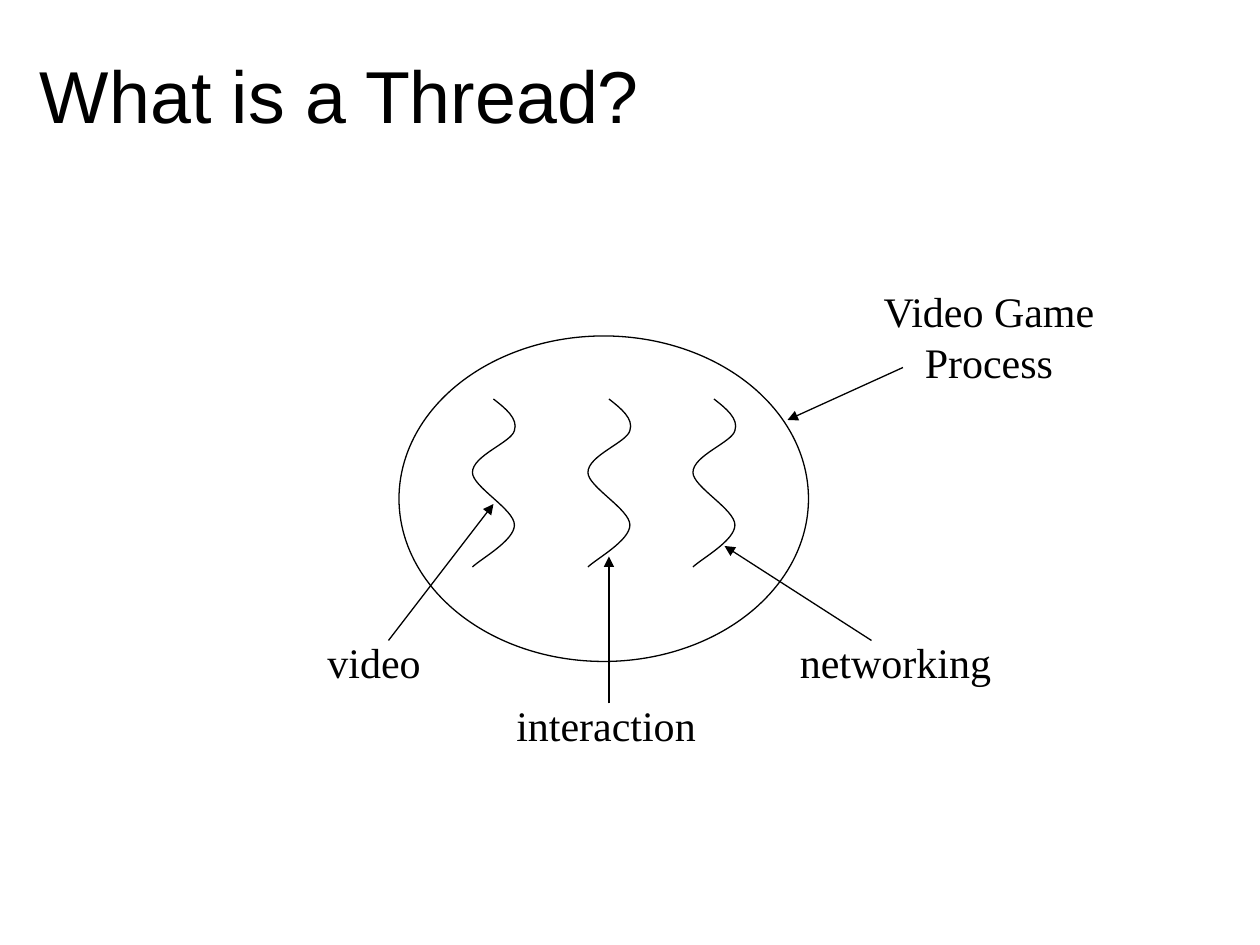
from pptx import Presentation
from pptx.dml.color import RGBColor
from pptx.enum.shapes import MSO_CONNECTOR as Connector, MSO_SHAPE as Preset
from pptx.enum.text import MSO_ANCHOR as Anchor, MSO_AUTO_SIZE as AutoSize, PP_ALIGN as Align
from pptx.oxml.ns import qn
from pptx.util import Pt
from lxml.etree import SubElement

PX = 9525  # EMU per px, 96 px to the inch


def color(value):
    return RGBColor.from_string(value)


class Diagram:
    ink = "000000"
    line_width = Pt(0.75)
    title_font, title_size = "Arial", 42
    label_font, label_size = "Times New Roman", 24

    def __init__(self, slide):
        self.slide = slide

    def outline(self, shape):
        shape.line.color.rgb = color(self.ink)
        shape.line.width = self.line_width

    def hollow(self, shape):
        shape.shadow.inherit = False
        shape.fill.background()
        self.outline(shape)

    def text(self, box, text, font, size, align):
        shape = self.slide.shapes.add_textbox(*(v * PX for v in box))
        text_frame = shape.text_frame
        text_frame.text = text
        for paragraph in text_frame.paragraphs:
            paragraph.alignment = align
            for run in paragraph.runs:
                run.font.name = font
                run.font.size = Pt(size)
                run.font.color.rgb = color(self.ink)
        return text_frame

    def title(self, text, box):
        text_frame = self.text(box, text, self.title_font, self.title_size, Align.LEFT)
        text_frame.word_wrap = True
        text_frame.vertical_anchor = Anchor.MIDDLE

    def label(self, text, box, align=Align.LEFT):
        text_frame = self.text(box, text, self.label_font, self.label_size, align)
        text_frame.word_wrap = False
        text_frame.auto_size = AutoSize.SHAPE_TO_FIT_TEXT

    def ellipse(self, box):
        self.hollow(self.slide.shapes.add_shape(Preset.OVAL, *(v * PX for v in box)))

    def curve(self, left, top, points):
        """Cubic curve: a start, then two controls and an end per segment."""
        start, *rest = [((left + x) * PX, (top + y) * PX) for x, y in points]
        builder = self.slide.shapes.build_freeform(*start)
        builder.add_line_segments(rest, close=False)
        shape = builder.convert_to_shape()
        # Every three straight segments become one cubic segment
        outline = next(shape._element.iter(qn("a:path")))
        segments = outline.findall(qn("a:lnTo"))
        for i in range(0, len(segments), 3):
            cubic = SubElement(outline, qn("a:cubicBezTo"))
            for segment in segments[i:i + 3]:
                cubic.append(segment[0])
                outline.remove(segment)
        self.hollow(shape)

    def arrow(self, *ends):
        shape = self.slide.shapes.add_connector(Connector.STRAIGHT, *(v * PX for v in ends))
        self.outline(shape)
        SubElement(shape.line._get_or_add_ln(), qn("a:tailEnd"), type="triangle")
        SubElement(shape._element.spPr, qn("a:effectLst"))


def main():
    presentation = Presentation()
    presentation.slide_width, presentation.slide_height = 960 * PX, 720 * PX
    diagram = Diagram(presentation.slides.add_slide(presentation.slide_layouts[6]))

    diagram.title("What is a Thread?", (21, 24, 842, 96))

    # Process
    diagram.ellipse((304, 256, 312, 248))

    # Threads: one wave, three places
    wave = (
        (16, 0),
        (25, 7), (35, 15), (32, 24),
        (30, 33), (0, 43), (0, 56),
        (0, 67), (32, 84), (32, 96),
        (32, 108), (6, 122), (0, 128),
    )
    for left in (360, 448, 528):
        diagram.curve(left, 304, wave)

    # Labels
    diagram.label("video", (240, 480, 90, 48))
    diagram.label("interaction", (384, 528, 156, 48))
    diagram.label("networking", (600, 480, 165, 48))
    diagram.label("Video Game\nProcess", (663, 213, 181, 86), Align.CENTER)

    # Arrows from labels to parts
    diagram.arrow(296, 488, 376, 384)
    diagram.arrow(464, 536, 464, 424)
    diagram.arrow(664, 488, 552, 416)
    diagram.arrow(688, 280, 600, 320)

    presentation.save("out.pptx")


if __name__ == "__main__":
    main()
